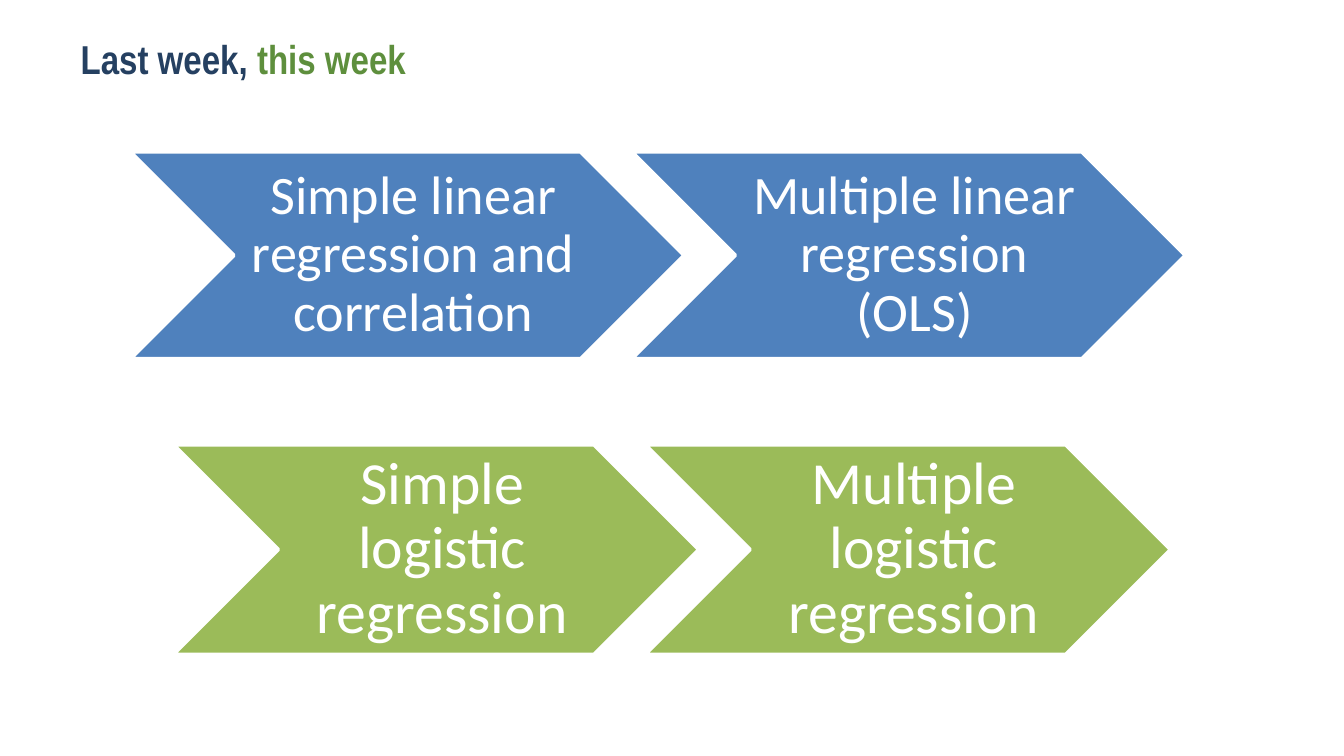
from pptx import Presentation
from pptx.dml.color import RGBColor
from pptx.enum.shapes import MSO_SHAPE
from pptx.enum.text import MSO_ANCHOR, PP_ALIGN
from pptx.util import Inches, Pt

CHEVRON = MSO_SHAPE.CHEVRON
MIDDLE = MSO_ANCHOR.MIDDLE
LEFT, CENTER = PP_ALIGN.LEFT, PP_ALIGN.CENTER

COLORS = {"navy": "254061", "leaf": "5E8F3D", "blue": "4F81BD",
          "green": "9BBB59", "white": "FFFFFF"}


def color(name):
    return RGBColor.from_string(COLORS[name])


def add_run(para, text, tint, **style):
    run = para.add_run()
    run.text = text
    run.font.color.rgb = color(tint)
    for key, value in style.items():
        setattr(run.font, key, value)


deck = Presentation()
deck.slide_width = Inches(10)
deck.slide_height = deck.slide_width * 9 // 16
slide = deck.slides.add_slide(deck.slide_layouts[5])

# Title
title = slide.shapes.title
place = {"left": 0.5, "top": 0.23, "width": 8.24, "height": 0.41}
for key, value in place.items():
    setattr(title, key, Inches(value))
title.text_frame.vertical_anchor = MIDDLE
head = title.text_frame.paragraphs[0]
head.alignment = LEFT
for text, tint in (("Last week, ", "navy"), ("this week", "leaf")):
    add_run(head, text, tint, name="Arial Narrow", size=Pt(21.6), bold=True)

# One row of chevrons per week
rows = [
    {"left": 0.97, "top": 1.13, "width": 4.12, "height": 1.54, "step": 3.73,
     "fill": "blue", "size": 29, "inset": 0.04,
     "texts": ["Simple linear regression and correlation",
               "Multiple linear regression (OLS)"]},
    {"left": 1.29, "top": 3.31, "width": 3.91, "height": 1.56, "step": 3.51,
     "fill": "green", "size": 32, "inset": 0.05,
     "texts": ["Simple logistic regression",
               "Multiple logistic regression"]},
]
for row in rows:
    for col, text in enumerate(row["texts"]):
        arrow = slide.shapes.add_shape(
            CHEVRON, Inches(row["left"] + col * row["step"]),
            Inches(row["top"]), Inches(row["width"]), Inches(row["height"]))
        arrow.shadow.inherit = False
        arrow.fill.solid()
        arrow.fill.fore_color.rgb = color(row["fill"])
        arrow.line.color.rgb = color("white")
        arrow.line.width = Pt(2)

        inset = Inches(row["inset"])
        frame = {"word_wrap": True, "vertical_anchor": MIDDLE,
                 "margin_left": inset + Inches(0.09), "margin_right": inset,
                 "margin_top": inset, "margin_bottom": inset}
        for key, value in frame.items():
            setattr(arrow.text_frame, key, value)
        para = arrow.text_frame.paragraphs[0]
        para.alignment = CENTER
        para.line_spacing = 0.9
        add_run(para, text, "white", name="Calibri", size=Pt(row["size"]))

deck.save("out.pptx")
